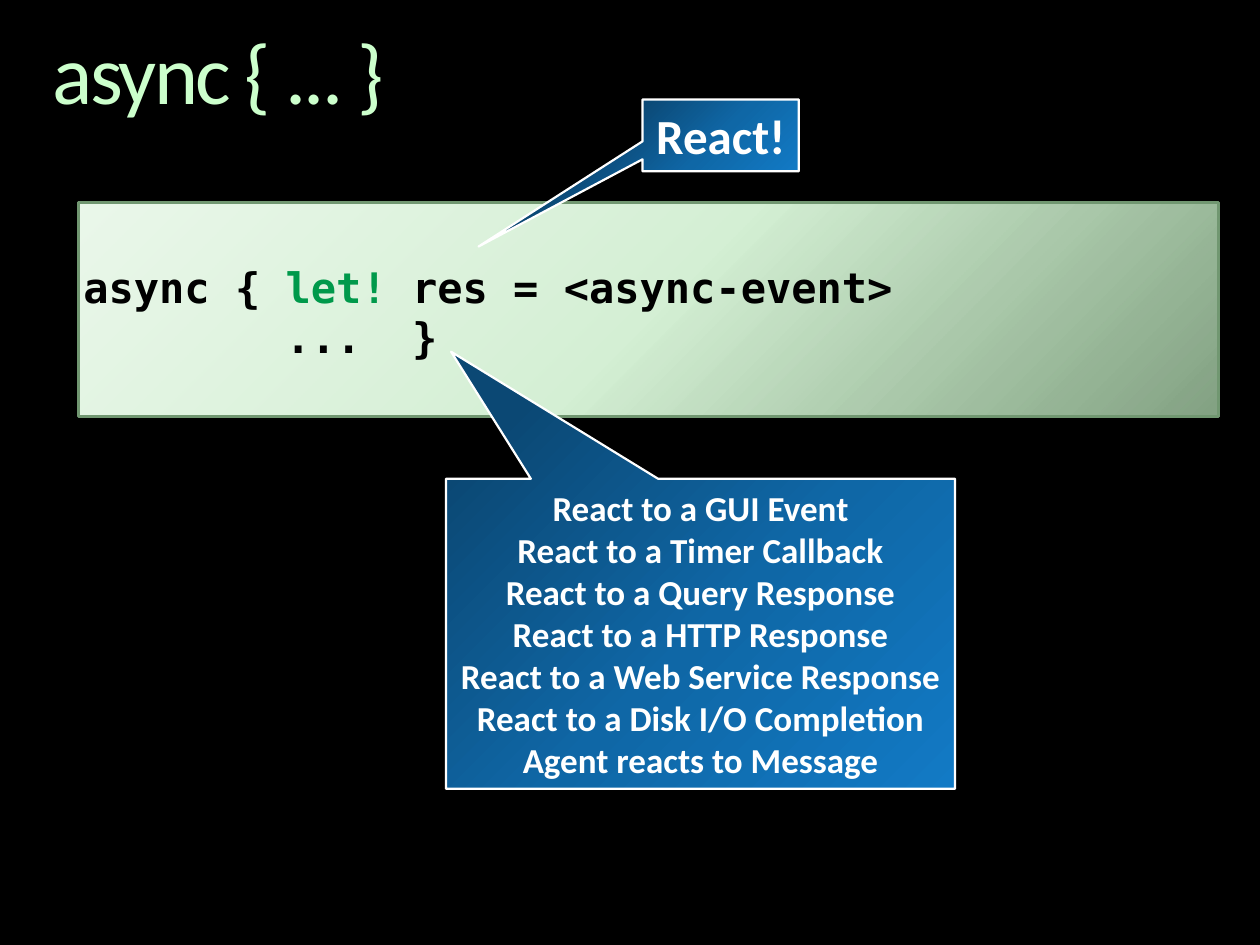
from dataclasses import dataclass

from lxml.etree import SubElement
from pptx import Presentation
from pptx.dml.color import RGBColor
from pptx.enum.shapes import MSO_SHAPE
from pptx.enum.text import MSO_ANCHOR, MSO_AUTO_SIZE, PP_ALIGN
from pptx.oxml.ns import qn
from pptx.shapes.autoshape import Shape
from pptx.slide import Slide
from pptx.text.text import Font, TextFrame
from pptx.util import Pt


@dataclass(frozen=True)
class Theme:
    back: str = "000000"
    title: str = "CCFFCC"
    code: str = "000000"
    key: str = "00994B"
    edge: str = "719771"
    light: str = "FFFFFF"
    green: tuple = (("BBE7BB", 69), ("D4EFD4", 100), ("EAF7EA", 100))
    blue: tuple = (("0B4874", 100), ("0F67A6", 100), ("127AC5", 100))
    sans: str = "Calibri"
    mono: str = "DejaVu Sans Mono"
    head_size: int = 48
    code_size: int = 24
    call_size: int = 28
    list_size: int = 20


@dataclass(frozen=True)
class Box:
    left: float
    top: float
    width: float
    height: float


@dataclass(frozen=True)
class Callout:
    box: Box
    tip: tuple[float, float]  # offset from the centre, as a share of the size
    size: int
    lines: tuple[str, ...]


THEME = Theme()
CODE = (
    (("async { ", THEME.code), ("let!", THEME.key), (" res = <async-event>", THEME.code)),
    (("        ...  }", THEME.code),),
)
CALLS = (
    Callout(Box(367.2, 56.9, 89.3, 41), (-1.55, 1.55), THEME.call_size, ("React!",)),
    Callout(Box(254.9, 273.6, 290.9, 177.1), (-0.49, -0.91), THEME.list_size, (
        "React to a GUI Event",
        "React to a Timer Callback",
        "React to a Query Response",
        "React to a HTTP Response",
        "React to a Web Service Response",
        "React to a Disk I/O Completion",
        "Agent reacts to Message",
    )),
)


def style(font: Font, name: str, size: float, color: str, bold: bool) -> None:
    font.name, font.size, font.bold = name, Pt(size), bold
    font.color.rgb = RGBColor.from_string(color)


def inset(frame: TextFrame, side: float, top: float, base: float) -> None:
    frame.margin_left = frame.margin_right = Pt(side)
    frame.margin_top, frame.margin_bottom = Pt(top), Pt(base)


def shade(shape: Shape, stops: tuple, angle: float) -> None:
    """Fill with evenly spaced stops, each a colour and an opacity in percent."""
    shape.fill.gradient()
    shape.fill.gradient_angle = angle
    group = shape._element.spPr.find(qn("a:gradFill")).find(qn("a:gsLst"))
    for old in list(group):
        group.remove(old)
    for i, (color, solid) in enumerate(stops):
        stop = SubElement(group, qn("a:gs"), pos=str(100000 * i // (len(stops) - 1)))
        node = SubElement(stop, qn("a:srgbClr"), val=color)
        if solid < 100:
            SubElement(node, qn("a:alpha"), val=str(solid * 1000))


def panel(slide: Slide, kind: MSO_SHAPE, box: Box, stops: tuple, angle: float,
          line: str, width: float) -> Shape:
    shape = slide.shapes.add_shape(
        kind, Pt(box.left), Pt(box.top), Pt(box.width), Pt(box.height))
    shape.shadow.inherit = False
    shade(shape, stops, angle)
    shape.line.color.rgb = RGBColor.from_string(line)
    shape.line.width = Pt(width)
    shape.text_frame.vertical_anchor = MSO_ANCHOR.MIDDLE
    return shape


def draw_title(slide: Slide, text: str) -> None:
    title = slide.shapes.title
    title.left, title.top = Pt(30), Pt(18)
    title.width, title.height = Pt(660), Pt(52.6)
    frame = title.text_frame
    frame.text = text
    frame.auto_size = MSO_AUTO_SIZE.NONE
    frame.vertical_anchor = MSO_ANCHOR.TOP
    inset(frame, 0, 0, 0)
    para = frame.paragraphs[0]
    para.alignment, para.line_spacing = PP_ALIGN.LEFT, 0.9
    font = para.runs[0].font
    style(font, THEME.sans, THEME.head_size, THEME.title, False)
    font._element.set("spc", "-150")


def draw_code(slide: Slide, box: Box) -> None:
    shape = panel(slide, MSO_SHAPE.RECTANGLE, box, THEME.green, 135, THEME.edge, 1.75)
    frame = shape.text_frame
    frame.word_wrap = True
    inset(frame, 2.9, 5.6, 2.9)
    for i, line in enumerate(CODE):
        para = frame.add_paragraph() if i else frame.paragraphs[0]
        para.alignment = PP_ALIGN.LEFT
        for text, color in line:
            run = para.add_run()
            run.text = text
            style(run.font, THEME.mono, THEME.code_size, color, True)


def draw_call(slide: Slide, call: Callout) -> None:
    shape = panel(slide, MSO_SHAPE.RECTANGULAR_CALLOUT, call.box, THEME.blue, 315,
                  THEME.light, 1.25)
    shape.adjustments[0], shape.adjustments[1] = call.tip
    frame = shape.text_frame
    frame.text = "\n".join(call.lines)
    frame.word_wrap = False
    for para in frame.paragraphs:
        para.alignment = PP_ALIGN.CENTER
        style(para.runs[0].font, THEME.sans, call.size, THEME.light, True)


def main() -> None:
    deck = Presentation()
    deck.slide_width, deck.slide_height = Pt(720), Pt(540)
    slide = deck.slides.add_slide(deck.slide_layouts.get_by_name("Title Only"))
    fill = slide.background.fill
    fill.solid()
    fill.fore_color.rgb = RGBColor.from_string(THEME.back)

    # Heading, code panel, then the callouts that point into it
    draw_title(slide, "async { ... }")
    draw_code(slide, Box(44.8, 115.8, 651.8, 122.2))
    for call in CALLS:
        draw_call(slide, call)
    deck.save("out.pptx")


if __name__ == "__main__":
    main()
